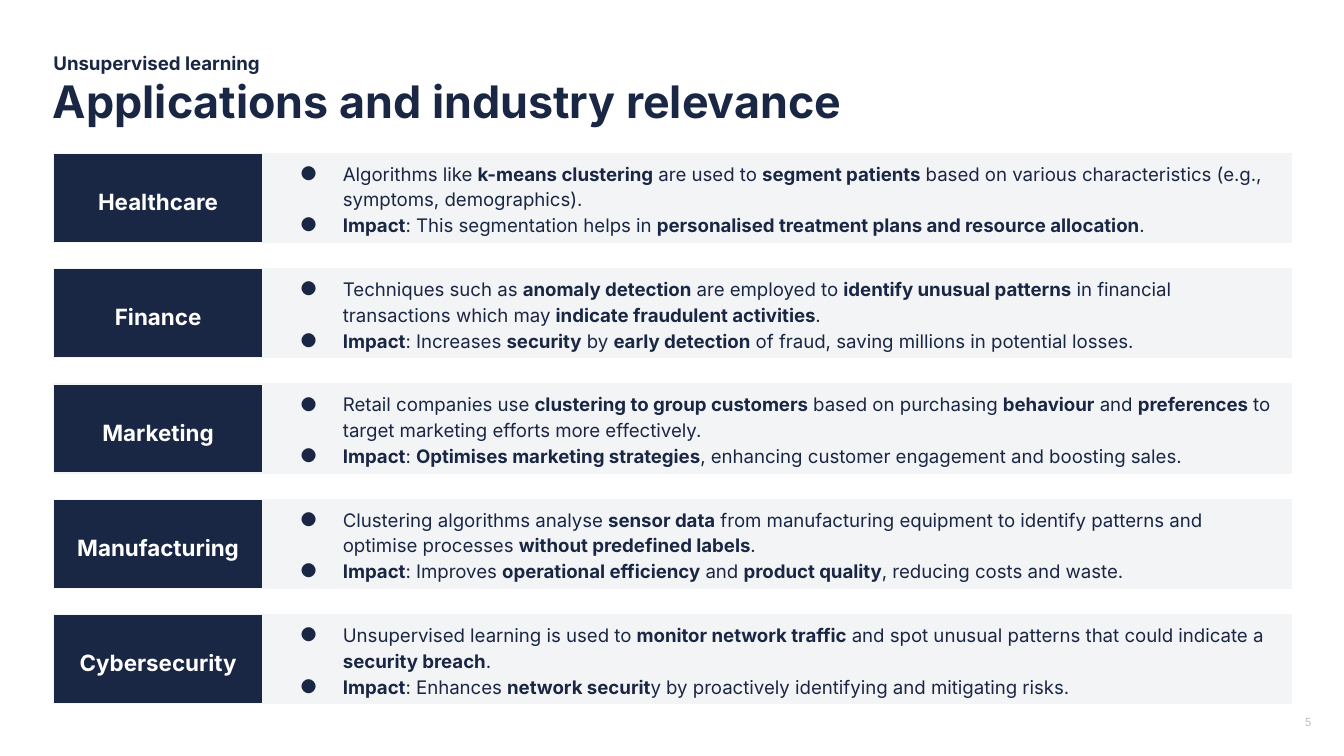
from dataclasses import dataclass

from lxml.etree import SubElement
from pptx import Presentation
from pptx.dml.color import RGBColor
from pptx.enum.shapes import MSO_SHAPE
from pptx.enum.text import MSO_ANCHOR, MSO_AUTO_SIZE, PP_ALIGN
from pptx.oxml.ns import qn
from pptx.util import Cm, Pt

NAVY, PALE, WHITE, GREY = "1A2744", "F3F4F6", "FFFFFF", "BABEC7"
FONT = "Inter"
ROW_TOP, ROW_PITCH, ROW_HEIGHT = 2.9, 2.18, 1.68
LABEL_LEFT, LABEL_WIDTH = 1.01, 3.96
BODY_LEFT, BODY_WIDTH = 4.96, 19.45
INSET = 0.25


@dataclass
class Industry:
    name: str
    text_width: float
    use: str
    impact: str


INDUSTRIES = [
    Industry(
        "Healthcare", 2.95,
        "Algorithms like **k-means clustering** are used to **segment patients** "
        "based on various characteristics (e.g., symptoms, demographics).",
        "**Impact**: This segmentation helps in "
        "**personalised treatment plans and resource allocation**."),
    Industry(
        "Finance", 2.95,
        "Techniques such as **anomaly detection** are employed to **identify unusual patterns** "
        "in financial transactions which may **indicate fraudulent activities**.",
        "**Impact**: Increases **security** by **early detection** of fraud, "
        "saving millions in potential losses."),
    Industry(
        "Marketing", 2.95,
        "Retail companies use **clustering to group customers** based on purchasing "
        "**behaviour** and **preferences** to target marketing efforts more effectively.",
        "**Impact**: **Optimises marketing strategies**, "
        "enhancing customer engagement and boosting sales."),
    Industry(
        "Manufacturing", 3.58,
        "Clustering algorithms analyse **sensor data** from manufacturing equipment to identify "
        "patterns and optimise processes **without predefined labels**.",
        "**Impact**: Improves **operational efficiency** and **product quality**, "
        "reducing costs and waste."),
    Industry(
        "Cybersecurity", 3.68,
        "Unsupervised learning is used to **monitor network traffic** and spot unusual patterns "
        "that could indicate a **security breach**.",
        "**Impact**: Enhances **network securit**y by proactively identifying "
        "and mitigating risks."),
]


def rgb(value: str) -> RGBColor:
    return RGBColor.from_string(value)


def place(sp, left: float, top: float, width: float, height: float) -> None:
    sp.left, sp.top, sp.width, sp.height = Cm(left), Cm(top), Cm(width), Cm(height)


def paint(sp, fill: str) -> None:
    sp.fill.solid()
    sp.fill.fore_color.rgb = rgb(fill)
    sp.line.color.rgb = rgb(PALE)
    sp.line.width = Pt(0.75)


def set_frame(tf, inset: float, anchor) -> None:
    tf.word_wrap = True
    tf.auto_size = MSO_AUTO_SIZE.NONE
    tf.vertical_anchor = anchor
    tf.margin_left = tf.margin_top = tf.margin_right = tf.margin_bottom = Cm(inset)


def add_run(p, text: str, size: float, color: str, bold: bool) -> None:
    r = p.add_run()
    r.text = text
    r.font.name = FONT
    r.font.size = Pt(size)
    r.font.bold = bold
    r.font.color.rgb = rgb(color)


def write(sp, text: str, size: float, color: str, bold: bool = True, inset: float = 0,
          anchor=MSO_ANCHOR.TOP, align=PP_ALIGN.LEFT, spacing: float = 1) -> None:
    set_frame(sp.text_frame, inset, anchor)
    p = sp.text_frame.paragraphs[0]
    p.alignment = align
    p.line_spacing = spacing
    add_run(p, text, size, color, bold)


def write_bullet(p, marked_text: str) -> None:
    p.line_spacing = 1.15
    p.space_before = Pt(0)
    pPr = p._p.get_or_add_pPr()
    pPr.set("marL", str(Cm(1.27)))
    pPr.set("indent", str(-Cm(0.81)))
    SubElement(SubElement(pPr, qn("a:buClr")), qn("a:srgbClr"), val=NAVY)
    SubElement(pPr, qn("a:buFont"), typeface=FONT)
    SubElement(pPr, qn("a:buChar"), char="●")
    for i, part in enumerate(marked_text.split("**")):
        if part:
            add_run(p, part, 10, NAVY, bold=i % 2 == 1)


def add_text(slide, left: float, top: float, width: float, height: float,
             text: str, size: float, color: str, **style) -> None:
    sp = slide.shapes.add_textbox(Cm(left), Cm(top), Cm(width), Cm(height))
    write(sp, text, size, color, **style)


def add_label(slide, industry: Industry, top: float) -> None:
    sp = slide.shapes.add_shape(MSO_SHAPE.RECTANGLE, Cm(LABEL_LEFT), Cm(top),
                                Cm(LABEL_WIDTH), Cm(ROW_HEIGHT))
    sp.shadow.inherit = False
    paint(sp, NAVY)
    left = LABEL_LEFT + (LABEL_WIDTH - industry.text_width) / 2
    add_text(slide, left, top + 0.33, industry.text_width, 1.02, industry.name, 12, WHITE,
             inset=INSET, align=PP_ALIGN.CENTER, spacing=1.15)


def fill_body(body, industry: Industry, top: float) -> None:
    place(body, BODY_LEFT, top, BODY_WIDTH, ROW_HEIGHT)
    paint(body, PALE)
    tf = body.text_frame
    set_frame(tf, INSET, MSO_ANCHOR.MIDDLE)
    write_bullet(tf.paragraphs[0], industry.use)
    write_bullet(tf.add_paragraph(), industry.impact)


def main() -> None:
    prs = Presentation()
    prs.slide_width, prs.slide_height = Cm(25.4), Cm(14.29)
    layout = prs.slide_layouts[1]
    slide = prs.slides.add_slide(layout)

    title = slide.shapes.title
    place(title, 1, 1.4, 23.4, 1)
    write(title, "Applications and industry relevance", 24, NAVY)
    add_text(slide, 1.01, 1, 23.4, 0.4, "Unsupervised learning", 10, NAVY,
             anchor=MSO_ANCHOR.MIDDLE)
    add_text(slide, 24.41, 13.27, 0.99, 0.7, "5", 6, GREY, bold=False, inset=INSET)

    for _ in INDUSTRIES[1:]:
        slide.shapes.clone_placeholder(layout.placeholders[1])
    bodies = [sp for sp in slide.placeholders if sp.placeholder_format.idx == 1]
    for i, (body, industry) in enumerate(zip(bodies, INDUSTRIES)):
        top = ROW_TOP + i * ROW_PITCH
        fill_body(body, industry, top)
        add_label(slide, industry, top)

    prs.save("out.pptx")


if __name__ == "__main__":
    main()
